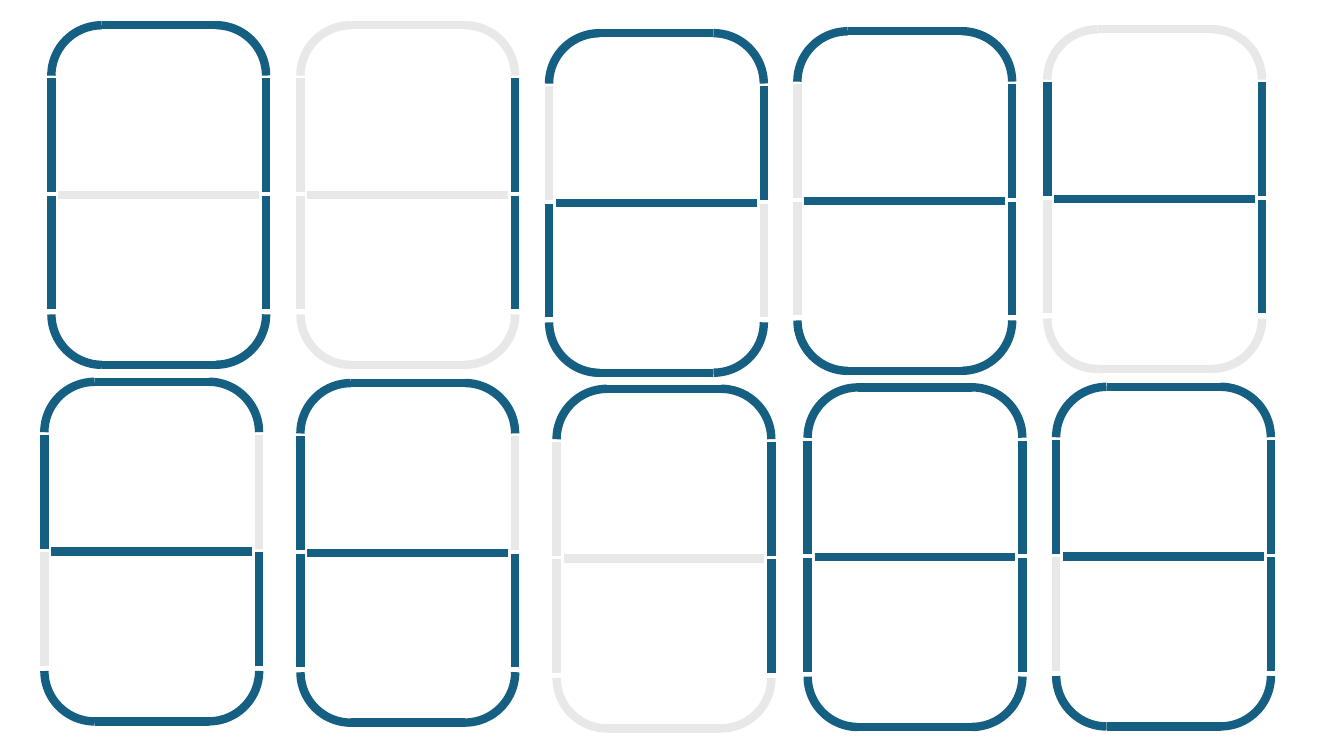
from lxml.etree import SubElement
from pptx import Presentation
from pptx.dml.color import RGBColor
from pptx.enum.shapes import MSO_CONNECTOR, MSO_SHAPE
from pptx.oxml.ns import qn
from pptx.util import Pt

# Digits 0 to 9: left, top and the lit segments
# (a top, b upper right, c lower right, d bottom, e lower left, f upper left, g middle)
DIGITS = [
    (36.7, 18, "abcdef"),
    (214.6, 18, "bc"),
    (392.2, 23.7, "abged"),
    (569.6, 22.3, "abgcd"),
    (748.1, 20.9, "fgbc"),
    (31.7, 272.7, "afgcd"),
    (214.6, 273.6, "afgedc"),
    (397.6, 277.7, "abc"),
    (576.9, 276.7, "abcdefg"),
    (754.4, 276.3, "abcdfg"),
]
COLORS = {"on": "156082", "off": "E8E8E8"}
STROKE = {"width": Pt(6)}

# Digit geometry
WIDE, HIGH = 153.4, 242.6
ARC = 72
R = ARC / 2
MID = HIGH / 2
UPPER = (38, 119.2)
LOWER = (121.8, 203)
INSET = 5

# Straight segments: start and end, relative to the digit
BARS = {
    "f": (0, UPPER[0], 0, UPPER[1]),
    "b": (WIDE, UPPER[0], WIDE, UPPER[1]),
    "e": (0, LOWER[0], 0, LOWER[1]),
    "c": (WIDE, LOWER[0], WIDE, LOWER[1]),
    "g": (INSET, MID, WIDE - INSET, MID),
}
# Curved segments: height of the bar, top of the arcs, turns of left and right arc
CAPS = {
    "a": (0, 0, 270, 0),
    "d": (HIGH, HIGH - ARC, 180, 90),
}


def paint(part, color):
    for name, value in STROKE.items():
        setattr(part.line, name, value)
    part.line.color.rgb = RGBColor.from_string(color)
    SubElement(part.element.spPr, qn("a:effectLst"))


def bar(shapes, ends, color):
    line = shapes.add_connector(MSO_CONNECTOR.STRAIGHT, *map(Pt, ends))
    paint(line, color)


def arc(shapes, x, y, turn, color):
    curve = shapes.add_shape(MSO_SHAPE.ARC, Pt(x), Pt(y), Pt(ARC), Pt(ARC))
    curve.rotation = turn
    curve.fill.background()
    paint(curve, color)


def cap(shapes, x, y, form, color):
    level, top, left, right = form
    group = shapes.add_group_shape().shapes
    arc(group, x, y + top, left, color)
    bar(group, (x + R, y + level, x + WIDE - R, y + level), color)
    arc(group, x + WIDE - ARC, y + top, right, color)


def digit(shapes, x, y, lit):
    for name in "afbecdg":
        color = COLORS["on" if name in lit else "off"]
        if name in CAPS:
            cap(shapes, x, y, CAPS[name], color)
        else:
            x1, y1, x2, y2 = BARS[name]
            bar(shapes, (x + x1, y + y1, x + x2, y + y2), color)


# Slide
deck = Presentation()
deck.slide_width, deck.slide_height = Pt(960), Pt(540)
slide = deck.slides.add_slide(deck.slide_layouts[6])
for x, y, lit in DIGITS:
    digit(slide.shapes, x, y, lit)
deck.save("out.pptx")
